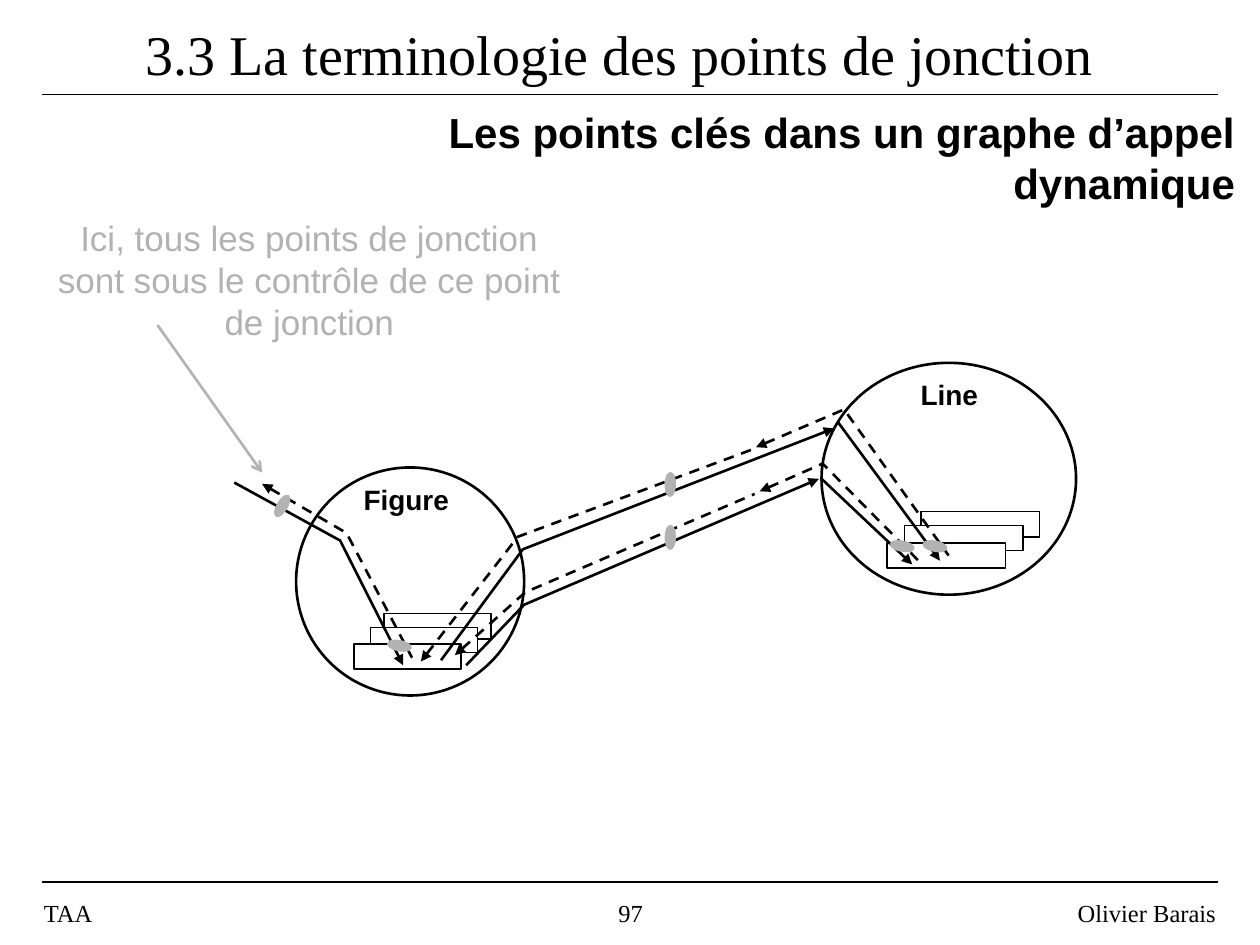
from lxml.etree import SubElement
from pptx import Presentation
from pptx.dml.color import RGBColor
from pptx.enum.dml import MSO_LINE
from pptx.enum.shapes import MSO_CONNECTOR, MSO_SHAPE
from pptx.enum.text import MSO_ANCHOR, MSO_AUTO_SIZE, PP_ALIGN
from pptx.oxml.ns import qn
from pptx.util import Inches, Pt

BLACK, WHITE, GREY = "000000", "FFFFFF", "B2B2B2"
SERIF, SANS = "Times New Roman", "Arial"


def color(hex_value):
    """Return the colour for a hex string."""
    return RGBColor.from_string(hex_value)


def set_attributes(target, values):
    """Set each named attribute of the target."""
    for name, value in values.items():
        setattr(target, name, value)


def format_line(line, hex_value, width, head=None, tail=None, dashed=False):
    """Give a line its colour, width, dash and arrowheads."""
    line.color.rgb = color(hex_value)
    line.width = Pt(width)
    if dashed:
        line.dash_style = MSO_LINE.DASH
    properties = line._get_or_add_ln()
    for tag, arrow in (("a:headEnd", head), ("a:tailEnd", tail)):
        if arrow:
            SubElement(properties, qn(tag)).set("type", arrow)


def write_text(shape, text, size, font, alignment, hex_value=BLACK, bold=False,
               anchor=MSO_ANCHOR.TOP, auto_size=MSO_AUTO_SIZE.NONE):
    """Fill a shape with one formatted paragraph."""
    frame = shape.text_frame
    set_attributes(frame, {
        "text": text, "word_wrap": True, "auto_size": auto_size,
        "vertical_anchor": anchor,
        "margin_left": Inches(0.1), "margin_right": Inches(0.1),
        "margin_top": Inches(0.05), "margin_bottom": Inches(0.05),
    })
    paragraph = frame.paragraphs[0]
    paragraph.alignment = alignment
    set_attributes(paragraph.font, {"size": Pt(size), "name": font, "bold": bold})
    paragraph.font.color.rgb = color(hex_value)


def add_text(shapes, box, text, size, font, alignment, **options):
    """Add a text box."""
    textbox = shapes.add_textbox(*map(Inches, box))
    write_text(textbox, text, size, font, alignment, **options)


def add_title(slide, text):
    """Move and format the title placeholder."""
    title = slide.shapes.title
    set_attributes(title, {"left": Inches(0.67), "top": Inches(0.17),
                           "width": Inches(8.5), "height": Inches(0.5)})
    write_text(title, text, 32, SERIF, PP_ALIGN.CENTER, anchor=MSO_ANCHOR.MIDDLE)


def add_line(shapes, start, end, hex_value, width, tail=None):
    """Add a straight line."""
    connector = shapes.add_connector(
        MSO_CONNECTOR.STRAIGHT, *map(Inches, start + end))
    format_line(connector.line, hex_value, width, tail=tail)
    SubElement(connector._element.spPr, qn("a:effectLst"))


def add_outline(shapes, kind, box, line_color, width, fill=None, rotation=0):
    """Add an outlined preset shape."""
    shape = shapes.add_shape(kind, *map(Inches, box))
    shape.shadow.inherit = False
    shape.rotation = rotation
    if fill:
        shape.fill.solid()
        shape.fill.fore_color.rgb = color(fill)
    else:
        shape.fill.background()
    format_line(shape.line, line_color, width)


def add_object(slide, name, circle, label_box, method_boxes):
    """Add an object circle with its name and stacked methods."""
    shapes = slide.shapes.add_group_shape().shapes
    for box in method_boxes:
        add_outline(shapes, MSO_SHAPE.RECTANGLE, box, BLACK, 1, WHITE)
    add_outline(shapes, MSO_SHAPE.OVAL, circle, BLACK, 1.5)
    add_text(shapes, label_box, name, 16, SANS, PP_ALIGN.CENTER, bold=True,
             auto_size=MSO_AUTO_SIZE.SHAPE_TO_FIT_TEXT)


def add_path(shapes, points, returning):
    """Add a solid call path or a dashed return path."""
    corners = [tuple(map(Inches, point)) for point in points]
    builder = shapes.build_freeform(*corners[0])
    builder.add_line_segments(corners[1:], close=False)
    path = builder.convert_to_shape()
    path.shadow.inherit = False
    path.fill.background()
    arrow = {"head" if returning else "tail": "triangle"}
    format_line(path.line, BLACK, 1.5, dashed=returning, **arrow)


def add_join_point(shapes, left, top, rotation):
    """Add a grey join point marker."""
    box = (left, top, 0.08, 0.19)
    add_outline(shapes, MSO_SHAPE.OVAL, box, GREY, 0.75, GREY, rotation)


def add_frame(shapes):
    """Add the rules and the footer."""
    for height in (0.75, 7):
        add_line(shapes, (0.33, height), (9.67, height), BLACK, 1)
    footers = (
        ("TAA", 0.25, 2.08, PP_ALIGN.LEFT),
        ("97", 3.42, 3.17, PP_ALIGN.CENTER),
        ("Olivier Barais", 7.67, 2.08, PP_ALIGN.RIGHT),
    )
    for text, left, width, alignment in footers:
        add_text(shapes, (left, 7.08, width, 0.33), text, 14, SERIF, alignment,
                 anchor=MSO_ANCHOR.MIDDLE)


def main():
    """Build the slide and save it."""
    presentation = Presentation()
    set_attributes(presentation, {"slide_width": Inches(10), "slide_height": Inches(7.5)})
    slide = presentation.slides.add_slide(presentation.slide_layouts[5])
    shapes = slide.shapes
    add_title(slide, "3.3 La terminologie des points de jonction")
    add_frame(shapes)

    add_object(slide, "Line", (6.52, 2.88, 2.02, 1.84), (6.98, 2.95, 1.11, 0.37),
               [(left, top, 0.94, 0.2)
                for left, top in ((7.31, 4.06), (7.18, 4.17), (7.04, 4.31))])
    add_object(slide, "Figure", (2.35, 3.71, 1.81, 1.81), (2.76, 3.78, 0.93, 0.37),
               [(left, top, 0.85, 0.2)
                for left, top in ((3.05, 4.87), (2.94, 4.98), (2.81, 5.11))])

    return_paths = (
        ((2.08, 3.84), (2.75, 4.23), (3.27, 5.22)),
        ((3.34, 5.25), (4.11, 4.26), (5.99, 3.56)),
        ((6, 3.55), (6.7, 3.25), (7.53, 4.41)),
        ((6.03, 3.9), (6.53, 3.68), (7.29, 4.45)),
        ((3.61, 5.2), (4.17, 4.7), (5.99, 3.92)),
    )
    call_paths = (
        ((1.86, 3.83), (2.7, 4.29), (3.2, 5.28)),
        ((6.65, 3.35), (7.46, 4.45)),
        ((3.5, 5.24), (4.15, 4.36), (6.62, 3.4)),
        ((6.52, 3.8), (7.24, 4.48)),
        ((3.7, 5.28), (4.16, 4.8), (6.5, 3.8)),
    )
    for paths, returning in ((return_paths, True), (call_paths, False)):
        for points in paths:
            add_path(shapes, points, returning)

    add_text(shapes, (0.33, 1.67, 4.25, 1.1),
             "Ici, tous les points de jonction sont sous le contrôle de ce point de jonction",
             20, SANS, PP_ALIGN.CENTER, hex_value=GREY,
             auto_size=MSO_AUTO_SIZE.SHAPE_TO_FIT_TEXT)
    add_line(shapes, (1.25, 2.58), (2.08, 3.75), GREY, 1.5, tail="arrow")
    add_text(shapes, (3.42, 0.8, 6.48, 0.9),
             "Les points clés dans un graphe d’appel dynamique",
             24, SANS, PP_ALIGN.RIGHT, bold=True,
             auto_size=MSO_AUTO_SIZE.SHAPE_TO_FIT_TEXT)

    join_points = (
        (3.13, 5.03, 100.9), (2.2, 3.92, 30.7), (5.28, 4.17, 0.8),
        (5.28, 3.75, 0.8), (7.38, 4.24, 100.9), (7.12, 4.24, 100.9),
    )
    for left, top, rotation in join_points:
        add_join_point(shapes, left, top, rotation)
    presentation.save("out.pptx")


if __name__ == "__main__":
    main()
